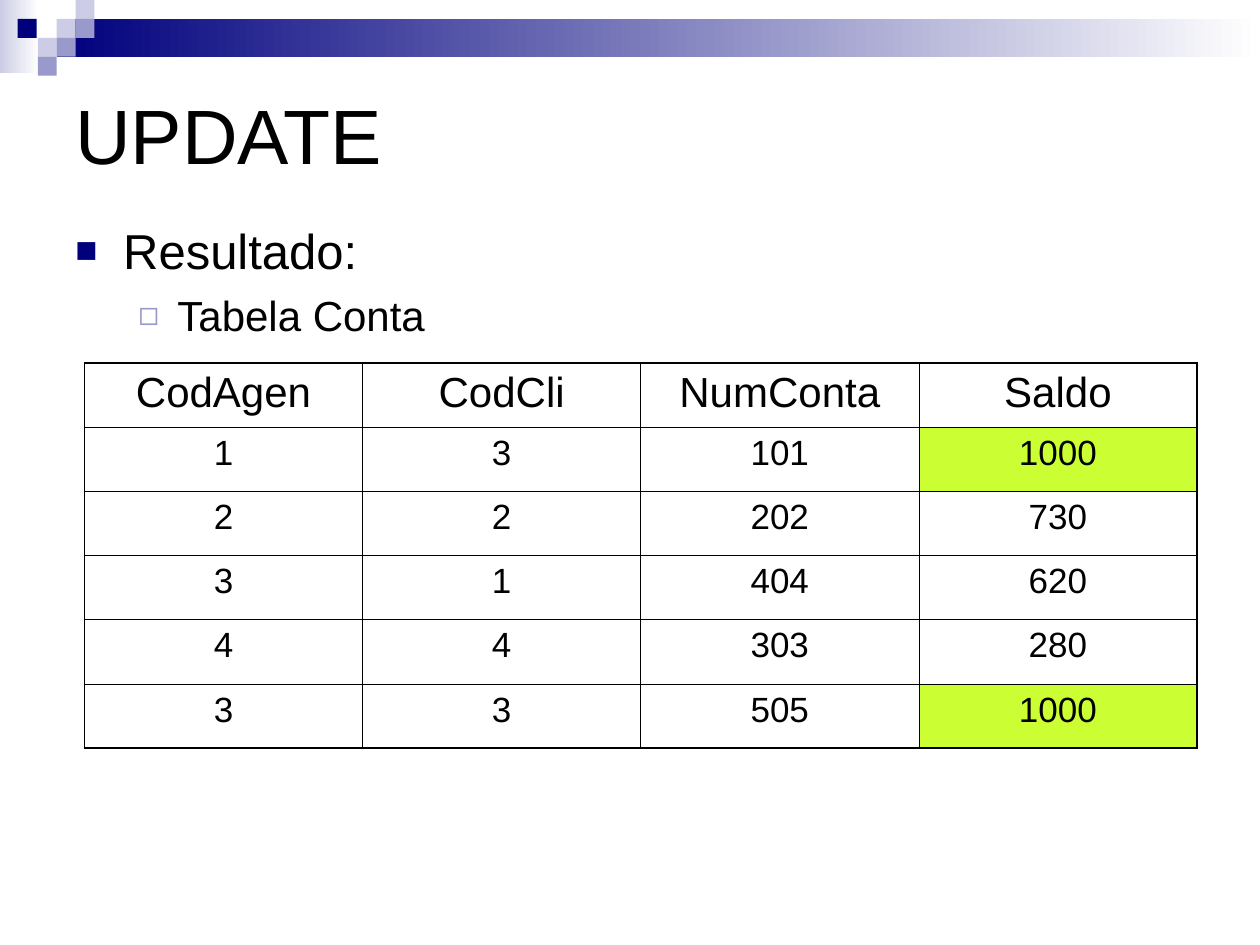
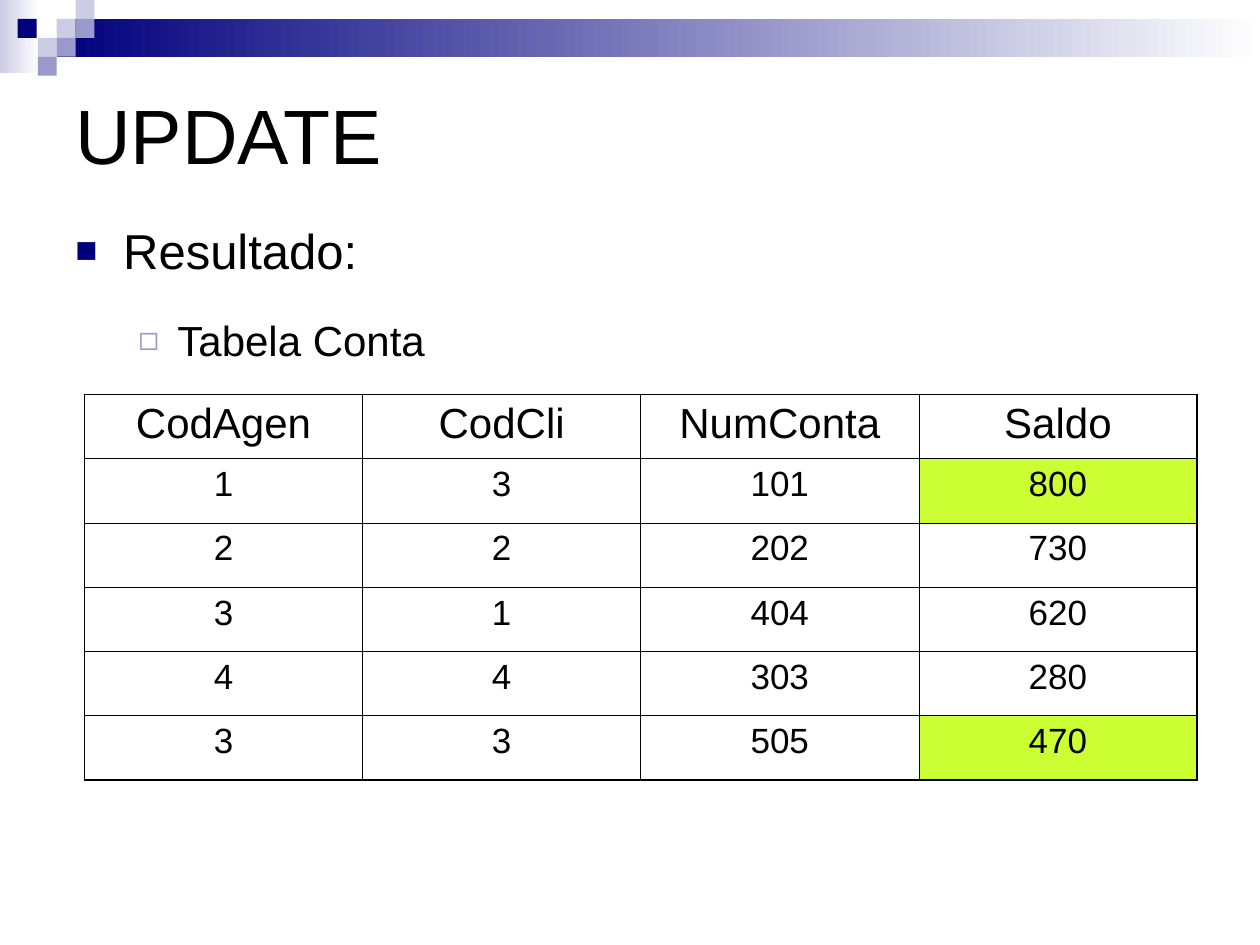
from dataclasses import dataclass

from lxml import etree
from pptx import Presentation
from pptx.dml.color import RGBColor
from pptx.enum import shapes, text
from pptx.oxml import ns
from pptx.util import Inches, Pt


@dataclass(frozen=True)
class Theme:
    """Colours, font and type sizes of the deck."""
    font: str = "Arial"
    ink: str = "000000"
    paper: str = "FFFFFF"
    navy: str = "00007D"
    lilac: str = "9999CC"
    mist: str = "CCCCE6"
    lime: str = "CCFF33"
    title: int = 44
    topic: int = 28
    subtopic: int = 24
    header: int = 24
    value: int = 20
    frame_line: float = 1.08
    grid_line: float = 0.45


THEME = Theme()
TILE = 0.15
TILES = [
    (0.45, 0.15, THEME.mist),
    (0.6, 0, THEME.mist),
    (0.6, 0.15, THEME.lilac),
    (0.3, 0.3, THEME.mist),
    (0.14, 0.15, THEME.navy),
    (0.45, 0.3, THEME.lilac),
    (0.3, 0.45, THEME.lilac),
]
COLUMNS = ["CodAgen", "CodCli", "NumConta", "Saldo"]
ACCOUNTS = [(1, 3, 101), (2, 2, 202), (3, 1, 404), (4, 4, 303), (3, 3, 505)]
CHANGED_ROWS = (1, 5)


def rgb(code):
    """Return the colour for a hex code."""
    return RGBColor.from_string(code)


def add_child(parent, tag, **attributes):
    """Append a DrawingML element and return it."""
    return etree.SubElement(parent, ns.qn(f"a:{tag}"), attributes)


def style(paragraph, size):
    """Apply the deck font in the given size."""
    paragraph.font.name = THEME.font
    paragraph.font.size = Pt(size)
    paragraph.font.color.rgb = rgb(THEME.ink)


def add_block(slide, box, colour, fade=False):
    """Add a borderless rectangle, plain or fading to paper."""
    block = slide.shapes.add_shape(
        shapes.MSO_SHAPE.RECTANGLE, *map(Inches, box))
    block.shadow.inherit = False
    block.line.fill.background()
    if fade:
        block.fill.gradient()
        block.fill.gradient_angle = 0
        for stop, tone, position in zip(
                block.fill.gradient_stops, (colour, THEME.paper), (0, 1)):
            stop.color.rgb = rgb(tone)
            stop.position = position
    else:
        block.fill.solid()
        block.fill.fore_color.rgb = rgb(colour)


def add_banner(slide, left, top):
    """Draw the fading bands and the mosaic of tiles."""
    add_block(slide, (left, top, 0.31, 0.58), THEME.mist, fade=True)
    add_block(slide, (left + 0.45, top + 0.15, 9.55, 0.3), THEME.navy, fade=True)
    for x, y, colour in TILES:
        add_block(slide, (left + x, top + y, TILE, TILE), colour)


def add_frame(slide, box, anchor):
    """Add a wrapping text box and return its text frame."""
    frame = slide.shapes.add_textbox(*map(Inches, box)).text_frame
    frame.word_wrap = True
    frame.vertical_anchor = anchor
    return frame


def add_title(slide, box, wording):
    """Write the slide title."""
    heading = add_frame(slide, box, text.MSO_ANCHOR.MIDDLE).paragraphs[0]
    heading.text = wording
    style(heading, THEME.title)


def add_bullet(paragraph, symbol, colour, scale, margin, hang):
    """Give a paragraph a coloured bullet with a hanging indent."""
    properties = paragraph._p.get_or_add_pPr()
    properties.set("marL", str(Inches(margin)))
    properties.set("indent", str(-Inches(hang)))
    add_child(add_child(properties, "buClr"), "srgbClr", val=colour)
    add_child(properties, "buSzPct", val=str(scale * 1000))
    add_child(properties, "buFont", typeface=THEME.font)
    add_child(properties, "buChar", char=symbol)


def add_outline(slide, box, gap):
    """Write the topic and, after a gap in points, its subtopic."""
    frame = add_frame(slide, box, text.MSO_ANCHOR.TOP)
    topic = frame.paragraphs[0]
    topic.text = "Resultado:"
    add_bullet(topic, "■", THEME.navy, 75, 0.38, 0.38)
    style(topic, THEME.topic)
    subtopic = frame.add_paragraph()
    subtopic.text = "Tabela Conta"
    subtopic.level = 1
    subtopic.space_before = Pt(gap)
    add_bullet(subtopic, "◻", THEME.lilac, 80, 0.81, 0.31)
    style(subtopic, THEME.subtopic)


def add_borders(cell, outer_sides):
    """Rule a cell, heavier on the sides that frame the table."""
    properties = cell._tc.get_or_add_tcPr()
    for place, side in enumerate("LRTB"):
        width = THEME.frame_line if side in outer_sides else THEME.grid_line
        line = add_child(properties, f"ln{side}", w=str(Pt(width)))
        fill = add_child(line, "solidFill")
        add_child(fill, "srgbClr", val=THEME.ink)
        properties.insert(place, line)


def add_accounts(slide, box, balances):
    """Build the account table with the changed balances highlighted."""
    records = [COLUMNS] + [
        (*account, balance) for account, balance in zip(ACCOUNTS, balances)]
    last_row, last_column = len(records) - 1, len(COLUMNS) - 1
    accounts = slide.shapes.add_table(
        len(records), len(COLUMNS), *map(Inches, box)).table
    accounts.first_row = accounts.horz_banding = False
    for r, record in enumerate(records):
        for c, entry in enumerate(record):
            cell = accounts.cell(r, c)
            cell.text = str(entry)
            entry_line = cell.text_frame.paragraphs[0]
            entry_line.alignment = text.PP_ALIGN.CENTER
            style(entry_line, THEME.value if r else THEME.header)
            if c == last_column and r in CHANGED_ROWS:
                cell.fill.solid()
                cell.fill.fore_color.rgb = rgb(THEME.lime)
            else:
                cell.fill.background()
            edges = {"L": c == 0, "R": c == last_column,
                     "T": r == 0, "B": r == last_row}
            add_borders(cell, [side for side, outer in edges.items() if outer])


def add_result_slide(deck, balances, gap, table_top):
    """Add one slide showing the accounts after an update."""
    slide = deck.slides.add_slide(deck.slide_layouts[6])
    add_banner(slide, 0, 0)
    add_title(slide, (0.5, 0.5, 9, 1.12), "UPDATE")
    add_outline(slide, (0.5, 1.7, 9.23, 5.59), gap)
    add_accounts(slide, (0.67, table_top, 8.83, 3.06), balances)


def main():
    """Build and save the deck."""
    deck = Presentation()
    deck.slide_width, deck.slide_height = Inches(10), Inches(7.5)
    add_result_slide(deck, (1000, 730, 620, 280, 1000), 6, 2.88)
    add_result_slide(deck, (800, 730, 620, 280, 470), 20, 3.13)
    deck.save("out.pptx")


if __name__ == "__main__":
    main()
